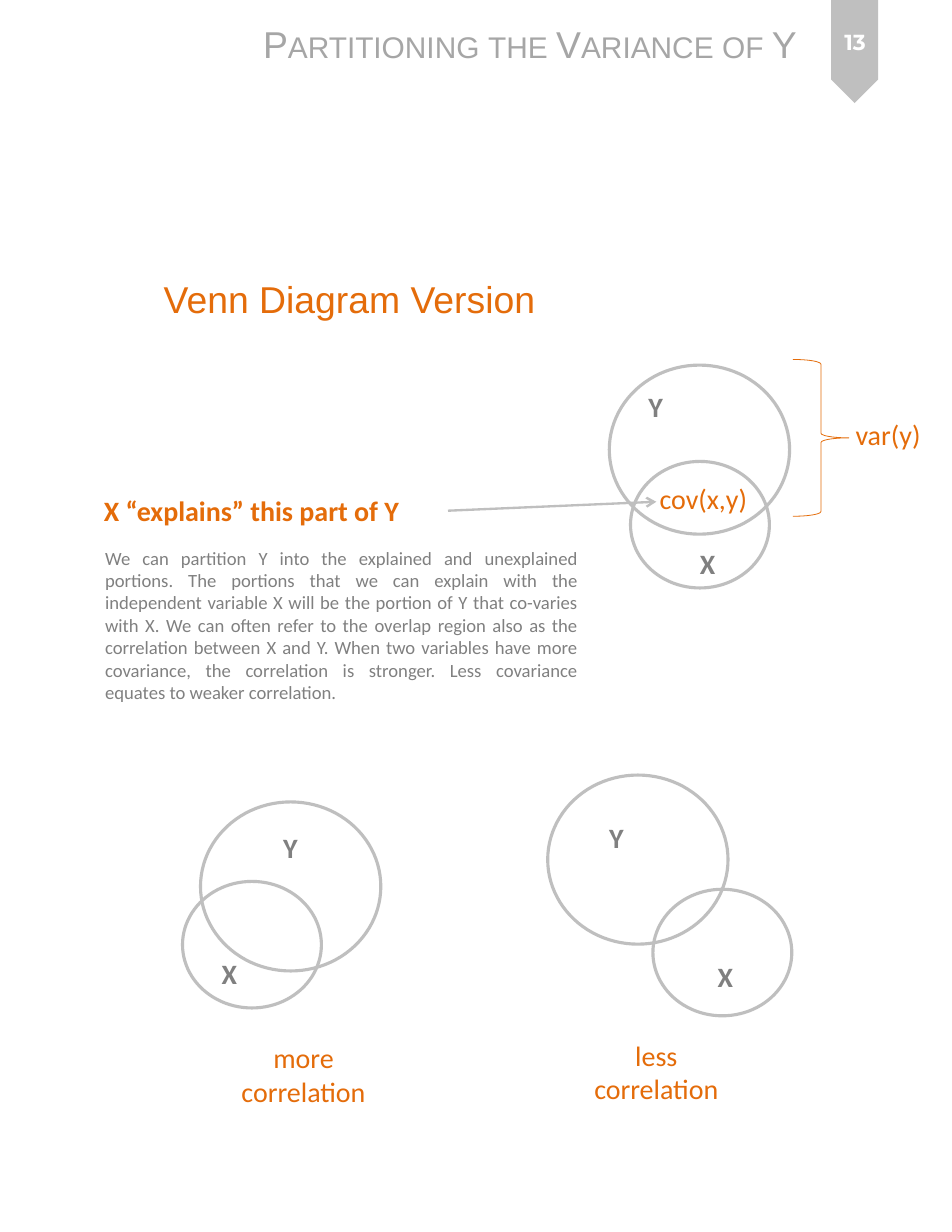
from dataclasses import dataclass
from typing import Any, Optional

from lxml import etree
from pptx import Presentation
from pptx import util as u
from pptx.dml.color import RGBColor
from pptx.enum import shapes, text
from pptx.oxml import ns

COLUMNS, ROWS = 85, 110
SLIDE_WIDTH, SLIDE_HEIGHT = u.Inches(8.5), u.Inches(11)

SILVER = RGBColor(0xBF, 0xBF, 0xBF)
TITLE_GRAY = RGBColor(0xA6, 0xA6, 0xA6)
TEXT_GRAY = RGBColor(0x80, 0x80, 0x80)
ORANGE = RGBColor(0xE4, 0x6C, 0x0A)
WHITE = RGBColor(0xFF, 0xFF, 0xFF)

Y_SIZE = (16.1, 15.1)
X_SIZE = (12.4, 11.3)
Y_LABEL_SIZE = (3.3, 4)
X_LABEL_SIZE = (11, 4)


@dataclass(frozen=True)
class Box:
    column: float
    row: float
    columns: float
    rows: float

    def lengths(self) -> tuple[int, int, int, int]:
        return (across(self.column), down(self.row),
                across(self.columns), down(self.rows))


@dataclass(frozen=True)
class Label:
    words: str
    box: Box
    color: RGBColor = ORANGE
    size: float = 18
    font: str = "Calibri"
    bold: bool = False
    wrap: bool = True
    grow: bool = True
    small_caps: bool = False
    align: Optional[text.PP_ALIGN] = None
    anchor: text.MSO_ANCHOR = text.MSO_ANCHOR.TOP


@dataclass(frozen=True)
class Venn:
    y_circle: tuple[float, float]
    x_circle: tuple[float, float]
    y_label: tuple[float, float]
    x_label: tuple[float, float]


VENNS = (
    Venn((54.4, 32.6), (56.3, 41.2), (56.9, 34.3), (61.5, 48.3)),
    Venn((48.9, 69.2), (58.3, 79.4), (53.4, 72.8), (63.1, 85.2)),
    Venn((17.9, 71.6), (16.3, 78.7), (24.3, 73.7), (18.8, 84.9)),
)

EXPLANATION = (
    "We can partition Y into the explained and unexplained portions. "
    "The portions that we can explain with the independent variable X will be "
    "the portion of Y that co-varies with X. We can often refer to the overlap "
    "region also as the correlation between X and Y. When two variables have "
    "more covariance, the correlation is stronger. Less covariance equates to "
    "weaker correlation."
)

LABELS = (
    Label("Partitioning the Variance of Y", Box(22.5, 1.4, 50.2, 5), TITLE_GRAY,
          24, "Arial", wrap=False, small_caps=True),
    Label("cov(x,y)", Box(57.9, 42.5, 9.9, 4), wrap=False),
    Label("X “explains” this part of Y", Box(8.3, 43.6, 29.2, 4), bold=True),
    Label(EXPLANATION, Box(8.4, 48.3, 44.2, 15.1), TEXT_GRAY, 12,
          align=text.PP_ALIGN.JUSTIFY),
    Label("less\ncorrelation", Box(52, 92.2, 13.2, 7.1), wrap=False,
          align=text.PP_ALIGN.CENTER),
    Label("more\ncorrelation", Box(20.5, 92.4, 13.2, 7.1), wrap=False,
          align=text.PP_ALIGN.CENTER),
    Label("Venn Diagram Version", Box(4.2, 24.2, 54, 6.2), size=24, font="Arial",
          grow=False, align=text.PP_ALIGN.CENTER),
    Label("var(y)", Box(75.4, 36.8, 7.9, 4), wrap=False),
    Label("13", Box(72.6, 0.8, 7.5, 5.9), WHITE, 14, "Montserrat", bold=True,
          grow=False, align=text.PP_ALIGN.CENTER, anchor=text.MSO_ANCHOR.MIDDLE),
)


def across(columns: float) -> int:
    return round(SLIDE_WIDTH * columns / COLUMNS)


def down(rows: float) -> int:
    return round(SLIDE_HEIGHT * rows / ROWS)


def apply(target: Any, values: dict[str, Any]) -> None:
    for name, value in values.items():
        setattr(target, name, value)


def add_outline(slide: Any, kind: shapes.MSO_SHAPE, box: Box,
                color: RGBColor, width: float) -> None:
    shape = slide.shapes.add_shape(kind, *box.lengths())
    shape.shadow.inherit = False
    shape.fill.background()
    shape.line.color.rgb = color
    shape.line.width = u.Pt(width)


def add_label(slide: Any, label: Label) -> None:
    frame = slide.shapes.add_textbox(*label.box.lengths()).text_frame
    fit = text.MSO_AUTO_SIZE
    apply(frame, {
        "word_wrap": label.wrap,
        "auto_size": fit.SHAPE_TO_FIT_TEXT if label.grow else fit.NONE,
        "vertical_anchor": label.anchor,
    })
    paragraph = frame.paragraphs[0]
    paragraph.text = label.words
    paragraph.alignment = label.align
    for run in paragraph.runs:
        apply(run.font, {"name": label.font, "size": u.Pt(label.size),
                         "bold": label.bold})
        run.font.color.rgb = label.color
        if label.small_caps:
            run.font._element.set("cap", "small")


def add_venn(slide: Any, venn: Venn) -> None:
    for place, size in ((venn.x_circle, X_SIZE), (venn.y_circle, Y_SIZE)):
        add_outline(slide, shapes.MSO_SHAPE.OVAL, Box(*place, *size), SILVER, 2)
    for words, place, size in (("X", venn.x_label, X_LABEL_SIZE),
                               ("Y", venn.y_label, Y_LABEL_SIZE)):
        add_label(slide, Label(words, Box(*place, *size), TEXT_GRAY, bold=True))


def add_page_ribbon(slide: Any) -> None:
    ribbon = slide.shapes.add_shape(shapes.MSO_SHAPE.PENTAGON,
                                    *Box(71.7, 2.5, 9.2, 4.2).lengths())
    ribbon.rotation = 90
    ribbon.shadow.inherit = False
    ribbon.fill.solid()
    ribbon.fill.fore_color.rgb = SILVER
    ribbon.line.fill.background()


def add_arrow(slide: Any) -> None:
    arrow = slide.shapes.add_connector(shapes.MSO_CONNECTOR.STRAIGHT, across(40),
                                       down(45.6), across(58.6), down(44.8))
    arrow.line.color.rgb = SILVER
    arrow.line.width = u.Pt(1.5)
    etree.SubElement(arrow.line._get_or_add_ln(), ns.qn("a:tailEnd"), type="arrow")
    etree.SubElement(arrow._element.spPr, ns.qn("a:effectLst"))


def main() -> None:
    presentation = Presentation()
    apply(presentation, {"slide_width": SLIDE_WIDTH, "slide_height": SLIDE_HEIGHT})
    slide = presentation.slides.add_slide(presentation.slide_layouts[6])
    add_page_ribbon(slide)
    for venn in VENNS:
        add_venn(slide, venn)
    add_arrow(slide)
    add_outline(slide, shapes.MSO_SHAPE.RIGHT_BRACE, Box(70.8, 32.1, 5, 14),
                ORANGE, 0.5)
    for label in LABELS:
        add_label(slide, label)
    presentation.save("out.pptx")


main()
